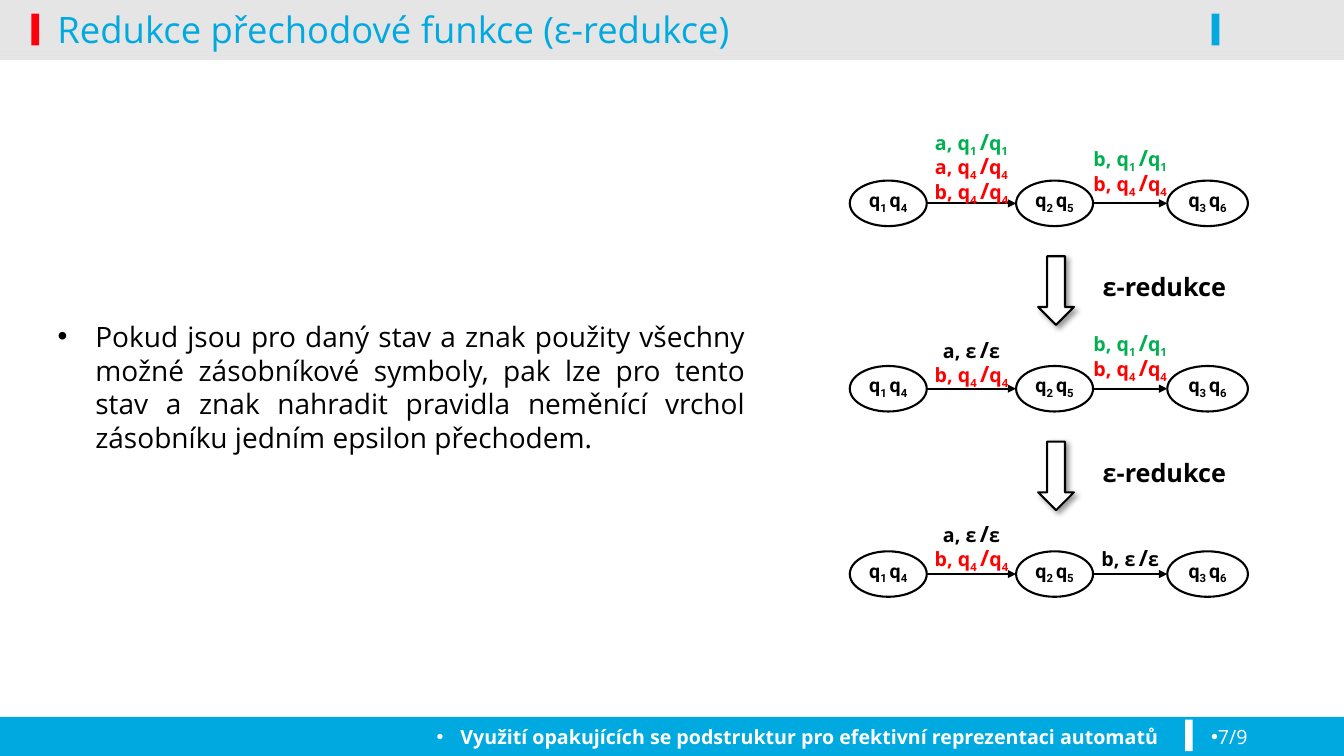
from lxml.etree import SubElement
from pptx import Presentation
from pptx.dml.color import RGBColor
from pptx.enum.shapes import MSO_CONNECTOR, MSO_SHAPE
from pptx.enum.text import MSO_ANCHOR, PP_ALIGN
from pptx.oxml.ns import qn
from pptx.util import Pt

BLACK = RGBColor(0x00, 0x00, 0x00)
WHITE = RGBColor(0xFF, 0xFF, 0xFF)
BLUE = RGBColor(0x00, 0xA9, 0xE0)
MARK_RED = RGBColor(0xFE, 0x00, 0x0C)
RED = RGBColor(0xFF, 0x00, 0x00)
GREEN = RGBColor(0x00, 0xB0, 0x50)
SANS, STATE_FONT = "Open Sans", "Roboto"
EPSILON = "ε"
ROW_PITCH = 132.4


def add_block(slide, preset, box, fill, outline=None, alpha=None):
    """Add a preset shape with a plain fill and an optional outline."""
    block = slide.shapes.add_shape(preset, *map(Pt, box))
    block.shadow.inherit = False
    block.fill.solid()
    block.fill.fore_color.rgb = fill
    if alpha:
        color = block.fill._xPr.find(qn("a:solidFill"))[0]
        SubElement(color, qn("a:alpha"), val=str(alpha * 1000))
    if outline is None:
        block.line.fill.background()
    else:
        block.line.color.rgb = outline
        block.line.width = Pt(1.5)
    return block


def add_run(paragraph, text, size, color, bold=False, font=SANS, subscript=False):
    """Append a formatted run to a paragraph."""
    run = paragraph.add_run()
    run.text = text
    run.font.name, run.font.size, run.font.bold = font, Pt(size), bold
    run.font.color.rgb = color
    if subscript:
        run.font._element.set("baseline", "-25000")


def add_text(slide, box, text, size, color, bold=False, align=PP_ALIGN.LEFT,
             anchor=MSO_ANCHOR.TOP, bullet_indent=None):
    """Add a one-paragraph text box, bulleted when an indent is given."""
    frame = slide.shapes.add_textbox(*map(Pt, box)).text_frame
    frame.word_wrap = True
    frame.vertical_anchor = anchor
    paragraph = frame.paragraphs[0]
    paragraph.alignment = align
    add_run(paragraph, text, size, color, bold)
    if bullet_indent is not None:
        properties = paragraph._p.get_or_add_pPr()
        properties.set("marL", str(Pt(bullet_indent)))
        properties.set("indent", str(-Pt(bullet_indent)))
        SubElement(properties, qn("a:buFont"), typeface="Arial")
        SubElement(properties, qn("a:buChar"), char="•")
    return paragraph


def add_header(slide, width, height):
    """Draw the grey title band with its marks and the title."""
    for top, depth in ((height, 3), (0, height)):
        add_block(slide, MSO_SHAPE.RECTANGLE, (0, top, width, depth), BLACK, alpha=10)
    for left, color in ((22.5, MARK_RED), (865.5, BLUE)):
        add_block(slide, MSO_SHAPE.RECTANGLE, (left, 9.8, 5.5, 22.7), color)
    add_text(slide, (34, -8, 828, 57), "Redukce přechodové funkce (ε-redukce)",
             26, BLUE, anchor=MSO_ANCHOR.MIDDLE)


def add_footer(slide, top, width, height):
    """Draw the blue footer band with the talk title and page number."""
    add_block(slide, MSO_SHAPE.RECTANGLE, (0, top, width, height), BLUE)
    add_block(slide, MSO_SHAPE.RECTANGLE, (846.5, top + 2, 5.5, 22.5), WHITE)
    add_text(slide, (11.5, top + 2, 823.5, 26),
             "Využití opakujících se podstruktur pro efektivní reprezentaci automatů",
             14, WHITE, True, PP_ALIGN.RIGHT, bullet_indent=17)
    add_text(slide, (858, top + 2, 87, 26), "7/9", 14, WHITE, bullet_indent=0)


def add_state(slide, box, indices):
    """Draw a merged state as an ellipse naming its original states."""
    state = add_block(slide, MSO_SHAPE.OVAL, box, WHITE, BLACK)
    frame = state.text_frame
    frame.margin_left = frame.margin_right = 0
    frame.vertical_anchor = MSO_ANCHOR.BOTTOM
    names = frame.paragraphs[0]
    names.alignment = PP_ALIGN.CENTER
    names.space_before = Pt(2.8)
    for index, ending in zip(indices, (" ", "")):
        add_run(names, "q", 14, BLACK, True, STATE_FONT)
        add_run(names, index + ending, 14, BLACK, True, STATE_FONT, True)


def add_transition(slide, start, end, y):
    """Draw a transition arrow between two states."""
    arrow = slide.shapes.add_connector(MSO_CONNECTOR.STRAIGHT, *map(Pt, (start, y, end, y)))
    arrow.line.color.rgb = BLACK
    arrow.line.width = Pt(1.5)
    SubElement(arrow.line._get_or_add_ln(), qn("a:tailEnd"), type="triangle")
    SubElement(arrow._element.spPr, qn("a:effectLst"))


def add_rules(slide, center, top, rules):
    """Write the stacked rules of a transition, centred over its arrow."""
    box = (center - 41, top, 82, 7.2 + 17.5 * len(rules))
    frame = slide.shapes.add_textbox(*map(Pt, box)).text_frame
    frame.word_wrap = True
    for number, (letter, index, color) in enumerate(rules):
        rule = frame.add_paragraph() if number else frame.paragraphs[0]
        rule.alignment = PP_ALIGN.CENTER
        rule.line_spacing = 0.8
        symbol = "q" if index else EPSILON
        add_run(rule, f"{letter}, {symbol}", 14, color, True)
        if index:
            add_run(rule, index, 14, color, True, subscript=True)
            add_run(rule, " ", 16, color, True, STATE_FONT, True)
        else:
            add_run(rule, " ", 9, color, True)
        add_run(rule, "/", 16, color, True)
        add_run(rule, symbol, 14, color, True)
        if index:
            add_run(rule, index, 14, color, True, subscript=True)


def add_automaton(slide, left, top, first_rules, second_rules):
    """Draw three states in a row, joined by two labelled transitions."""
    height = 32.5
    states = ((0, 55, "14"), (118.8, 55, "25"), (226.8, 57.6, "36"))
    for offset, width, indices in states:
        add_state(slide, (left + offset, top, width, height), indices)
    labels = (first_rules, second_rules)
    for source, target, (rise, rules) in zip(states, states[1:], labels):
        start, end = left + source[0] + source[1], left + target[0]
        add_transition(slide, start, end, top + height / 2)
        add_rules(slide, (start + end) / 2, top - rise, rules)


def add_reduction(slide, left, top):
    """Draw the block arrow of a reduction step and its caption."""
    arrow = add_block(slide, MSO_SHAPE.DOWN_ARROW, (left, top, 25.5, 49), WHITE, BLACK)
    effects = arrow._element.spPr.find(qn("a:effectLst"))
    shadow = SubElement(effects, qn("a:outerShdw"), blurRad=str(Pt(4)),
                        dist=str(Pt(3)), dir="2700000", algn="tl", rotWithShape="0")
    color = SubElement(shadow, qn("a:srgbClr"), val=str(BLACK))
    SubElement(color, qn("a:alpha"), val="40000")
    caption = add_text(slide, (left + 39, top + 7.5, 116.5, 29), "ε-redukce", 18, BLACK, True)
    caption.space_before = Pt(3.6)


def add_diagram(slide, left, top):
    """Stack the three automata with a reduction step between each pair."""
    a1, a4, a_eps = ("a", "1", GREEN), ("a", "4", RED), ("a", None, BLACK)
    b1, b4, b_eps = ("b", "1", GREEN), ("b", "4", RED), ("b", None, BLACK)
    stages = (
        ((39, (a1, a4, b4)), (27.5, (b1, b4))),
        ((21, (a_eps, b4)), (27.5, (b1, b4))),
        ((22, (a_eps, b4)), (5, (b_eps,))),
    )
    for row, (first_rules, second_rules) in enumerate(stages):
        row_top = top + row * ROW_PITCH
        add_automaton(slide, left, row_top, first_rules, second_rules)
        if row < len(stages) - 1:
            add_reduction(slide, left + 134.6, row_top + 54)


def main():
    """Build the slide and save it."""
    deck = Presentation()
    deck.slide_width, deck.slide_height = Pt(960), Pt(540)
    slide = deck.slides.add_slide(deck.slide_layouts[6])
    add_footer(slide, 512, 960, 28)
    add_header(slide, 960, 40)
    add_diagram(slide, 607, 129)
    explanation = add_text(
        slide, (34, 224.6, 505.4, 106.6),
        "Pokud jsou pro daný stav a znak použity všechny možné zásobníkové symboly, "
        "pak lze pro tento stav a znak nahradit pravidla neměnící vrchol zásobníku "
        "jedním epsilon přechodem.",
        20, BLACK, align=PP_ALIGN.JUSTIFY, bullet_indent=27)
    explanation.space_before = Pt(4)
    deck.save("out.pptx")


if __name__ == "__main__":
    main()
